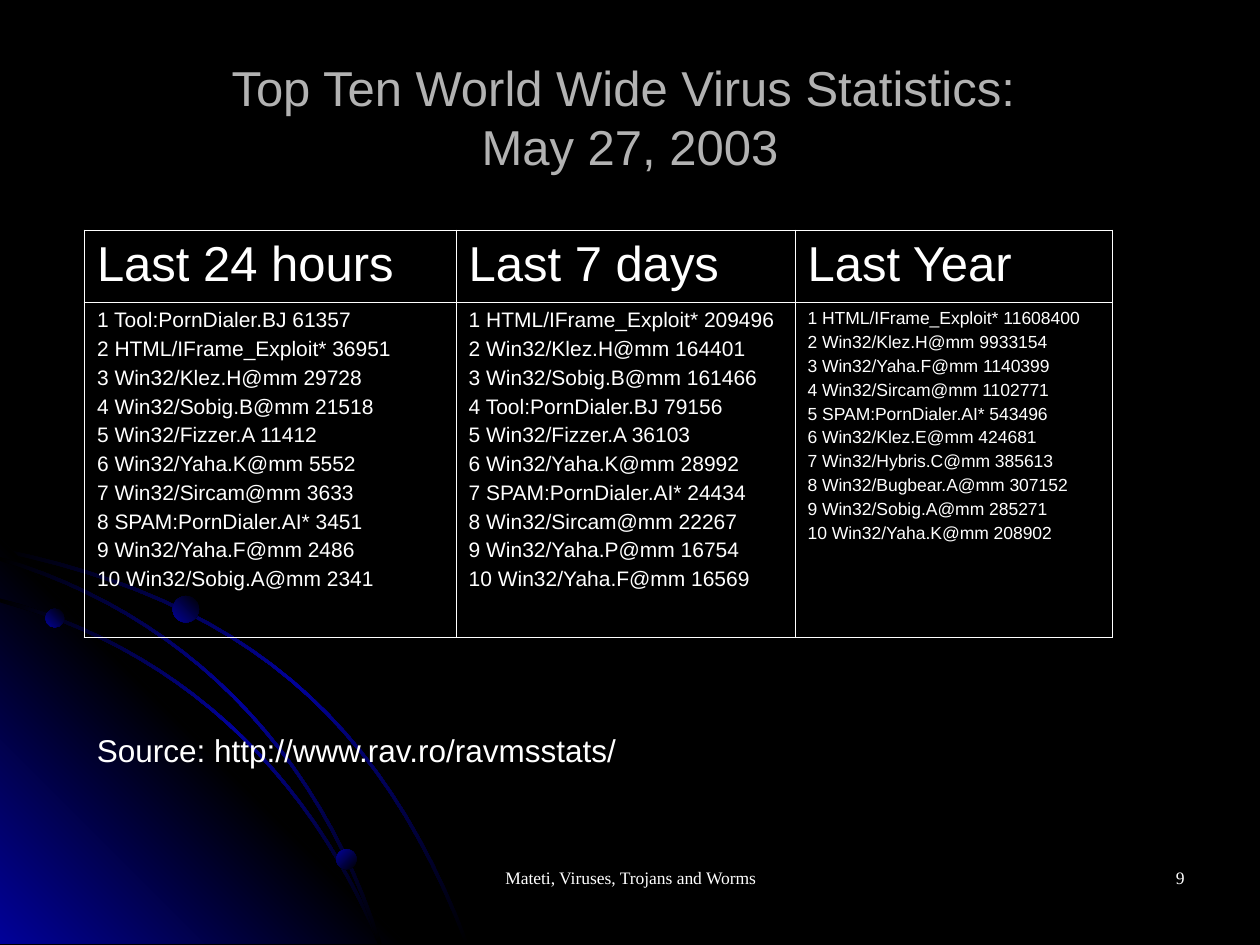
from dataclasses import dataclass

from lxml.etree import SubElement
from pptx import Presentation
from pptx.dml.color import RGBColor
from pptx.enum.shapes import MSO_SHAPE
from pptx.enum.text import MSO_ANCHOR, PP_ALIGN
from pptx.oxml.ns import qn
from pptx.util import Inches, Pt

Point = tuple[float, float]

BLACK, BLUE, WHITE, GREY = "000000", "010199", "FFFFFF", "B2B2B2"
OUTER_BORDER, INNER_BORDER = 1.08, 0.45
ORBIT_BOTTOM = 7.49
ORBIT_THICKNESS = 0.03
ORBIT_STEPS = 24


@dataclass
class Orbit:
    """A cubic curve from the left slide edge to the bottom edge."""
    start_y: float
    start_control: Point
    end_control: Point
    end_x: float


@dataclass
class Planet:
    left: float
    top: float
    size: float
    angle: int


@dataclass
class Label:
    text: str
    box: tuple[float, float, float, float]
    size: float
    font: str = "Arial"
    color: str = WHITE
    align: PP_ALIGN = PP_ALIGN.LEFT
    anchor: MSO_ANCHOR = MSO_ANCHOR.TOP
    wrap: bool = True


@dataclass
class Period:
    heading: str
    width: float
    size: float
    entries: list[str]


OUTER_ORBIT = Orbit(4.35, (1.91, 4.75), (3.03, 5.68), 3.72)
MIDDLE_ORBIT = Orbit(4.42, (1.43, 4.85), (2.53, 5.91), 3.03)
INNER_ORBIT = Orbit(4.75, (1.38, 5.12), (2.44, 6.08), 3.03)
GLOW_CORNERS = [(3.22, ORBIT_BOTTOM), (0, ORBIT_BOTTOM), (0, 4.27)]
PLANETS = [Planet(0.36, 4.83, 0.15, 135), Planet(2.67, 6.74, 0.16, 225),
           Planet(1.37, 4.73, 0.21, 135)]

LABELS = [
    Label("Top Ten World Wide Virus Statistics: \vMay 27, 2003", (0.5, 0.3, 9, 1.25), 28,
          color=GREY, align=PP_ALIGN.CENTER, anchor=MSO_ANCHOR.MIDDLE),
    Label("Source: http://www.rav.ro/ravmsstats/", (0.67, 5.75, 4.35, 0.4), 18, wrap=False),
    Label("Mateti, Viruses, Trojans and Worms", (3.42, 6.83, 3.17, 0.5), 10,
          "Times New Roman", align=PP_ALIGN.CENTER),
    Label("9", (7.17, 6.83, 2.33, 0.5), 10, "Times New Roman", align=PP_ALIGN.RIGHT),
]

# Entries stand in ranking order; the rank numbers are added when drawn
PERIODS = [
    Period("Last 24 hours", 2.95, 12, [
        "Tool:PornDialer.BJ 61357", "HTML/IFrame_Exploit* 36951", "Win32/Klez.H@mm 29728",
        "Win32/Sobig.B@mm 21518", "Win32/Fizzer.A 11412", "Win32/Yaha.K@mm 5552",
        "Win32/Sircam@mm 3633", "SPAM:PornDialer.AI* 3451", "Win32/Yaha.F@mm 2486",
        "Win32/Sobig.A@mm 2341"]),
    Period("Last 7 days", 2.69, 12, [
        "HTML/IFrame_Exploit* 209496", "Win32/Klez.H@mm 164401", "Win32/Sobig.B@mm 161466",
        "Tool:PornDialer.BJ 79156", "Win32/Fizzer.A 36103", "Win32/Yaha.K@mm 28992",
        "SPAM:PornDialer.AI* 24434", "Win32/Sircam@mm 22267", "Win32/Yaha.P@mm 16754",
        "Win32/Yaha.F@mm 16569"]),
    Period("Last Year", 2.52, 10, [
        "HTML/IFrame_Exploit* 11608400", "Win32/Klez.H@mm 9933154", "Win32/Yaha.F@mm 1140399",
        "Win32/Sircam@mm 1102771", "SPAM:PornDialer.AI* 543496", "Win32/Klez.E@mm 424681",
        "Win32/Hybris.C@mm 385613", "Win32/Bugbear.A@mm 307152", "Win32/Sobig.A@mm 285271",
        "Win32/Yaha.K@mm 208902"]),
]
HEADING_SIZE = 28
ROW_HEIGHTS = [0.57, 2.66]


def rgb(color: str) -> RGBColor:
    return RGBColor.from_string(color)


def set_attributes(target, values: dict) -> None:
    for name, value in values.items():
        setattr(target, name, value)


def write_lines(frame, lines: list[str], size: float, font: str, color: str,
                align: PP_ALIGN = PP_ALIGN.LEFT) -> None:
    for index, line in enumerate(lines):
        paragraph = frame.add_paragraph() if index else frame.paragraphs[0]
        paragraph.text = line
        paragraph.alignment = align
        if index:
            paragraph.space_before = Pt(size / 4)
        set_attributes(paragraph.font, {"size": Pt(size), "name": font})
        paragraph.font.color.rgb = rgb(color)


def paint_gradient(shape, colors: tuple[str, ...], angle: int) -> None:
    """Spread the colours evenly along a clockwise angle."""
    shape.shadow.inherit = False
    shape.line.fill.background()
    shape.fill.gradient()
    gradient = shape.element.spPr.find(qn("a:gradFill"))
    for child in list(gradient):
        gradient.remove(child)
    stops = SubElement(gradient, qn("a:gsLst"))
    for index, color in enumerate(colors):
        position = 100000 * index // (len(colors) - 1)
        stop = SubElement(stops, qn("a:gs"), pos=str(position))
        SubElement(stop, qn("a:srgbClr"), val=color)
    SubElement(gradient, qn("a:lin"), ang=str(angle * 60000), scaled="0")


def draw_polygon(slide, points: list[Point], colors: tuple[str, ...], angle: int) -> None:
    corners = [(Inches(x), Inches(y)) for x, y in points]
    builder = slide.shapes.build_freeform(*corners[0])
    builder.add_line_segments(corners[1:], close=True)
    paint_gradient(builder.convert_to_shape(), colors, angle)


def curve_point(orbit: Orbit, t: float) -> Point:
    """Evaluate the Bézier curve at t, from 0 (start) to 1 (end)."""
    weights = ((1 - t) ** 3, 3 * t * (1 - t) ** 2, 3 * t ** 2 * (1 - t), t ** 3)
    controls = ((0, orbit.start_y), orbit.start_control, orbit.end_control,
                (orbit.end_x, ORBIT_BOTTOM))
    x, y = (sum(w * value for w, value in zip(weights, axis)) for axis in zip(*controls))
    return x, y


def draw_orbit(slide, orbit: Orbit) -> None:
    upper_edge, lower_edge = [], []
    for step in range(ORBIT_STEPS + 1):
        t = step / ORBIT_STEPS
        x, y = curve_point(orbit, t)
        upper_edge.append((x, y))
        # The band is offset downward at its start and leftward at its end
        lower_edge.append((x - ORBIT_THICKNESS * t, y + ORBIT_THICKNESS * (1 - t)))
    draw_polygon(slide, upper_edge + lower_edge[::-1], (BLACK, BLUE, BLACK), 225)


def draw_planet(slide, planet: Planet) -> None:
    box = map(Inches, (planet.left, planet.top, planet.size, planet.size))
    shape = slide.shapes.add_shape(MSO_SHAPE.OVAL, *box)
    paint_gradient(shape, (BLACK, BLUE), planet.angle)


def draw_label(slide, label: Label) -> None:
    frame = slide.shapes.add_textbox(*map(Inches, label.box)).text_frame
    set_attributes(frame, {"word_wrap": label.wrap, "vertical_anchor": label.anchor})
    write_lines(frame, [label.text], label.size, label.font, label.color, label.align)


def set_borders(cell, outer_sides: dict[str, bool]) -> None:
    properties = cell._tc.get_or_add_tcPr()
    for index, (side, is_outer) in enumerate(outer_sides.items()):
        width = Pt(OUTER_BORDER if is_outer else INNER_BORDER)
        line = SubElement(properties, qn(f"a:ln{side}"), w=str(width))
        fill = SubElement(line, qn("a:solidFill"))
        SubElement(fill, qn("a:srgbClr"), val=WHITE)
        properties.insert(index, line)  # borders must precede the cell fill


def draw_table(slide, periods: list[Period]) -> None:
    width = sum(period.width for period in periods)
    box = map(Inches, (0.67, 1.83, width, sum(ROW_HEIGHTS)))
    table = slide.shapes.add_table(len(ROW_HEIGHTS), len(periods), *box).table
    set_attributes(table, {"first_row": False, "horz_banding": False})
    for row, height in zip(table.rows, ROW_HEIGHTS):
        row.height = Inches(height)
    for column, period in enumerate(periods):
        table.columns[column].width = Inches(period.width)
        ranking = [f"{rank} {entry}" for rank, entry in enumerate(period.entries, 1)]
        contents = [([period.heading], HEADING_SIZE), (ranking, period.size)]
        for row, (lines, size) in enumerate(contents):
            cell = table.cell(row, column)
            cell.fill.background()
            write_lines(cell.text_frame, lines, size, "Arial", WHITE)
            set_borders(cell, {"L": column == 0, "R": column == len(periods) - 1,
                               "T": row == 0, "B": row == len(ROW_HEIGHTS) - 1})


def main() -> None:
    presentation = Presentation()
    set_attributes(presentation, {"slide_width": Inches(10), "slide_height": Inches(7.5)})
    slide = presentation.slides.add_slide(presentation.slide_layouts[6])
    slide.background.fill.solid()
    slide.background.fill.fore_color.rgb = rgb(BLACK)

    # Corner glow between the orbits, then the planets
    draw_orbit(slide, OUTER_ORBIT)
    draw_polygon(slide, GLOW_CORNERS, (BLUE, BLACK, BLUE), 135)
    for orbit in (INNER_ORBIT, MIDDLE_ORBIT):
        draw_orbit(slide, orbit)
    for planet in PLANETS:
        draw_planet(slide, planet)

    # Statistics table, then title, source and footer
    draw_table(slide, PERIODS)
    for label in LABELS:
        draw_label(slide, label)
    presentation.save("out.pptx")


if __name__ == "__main__":
    main()
